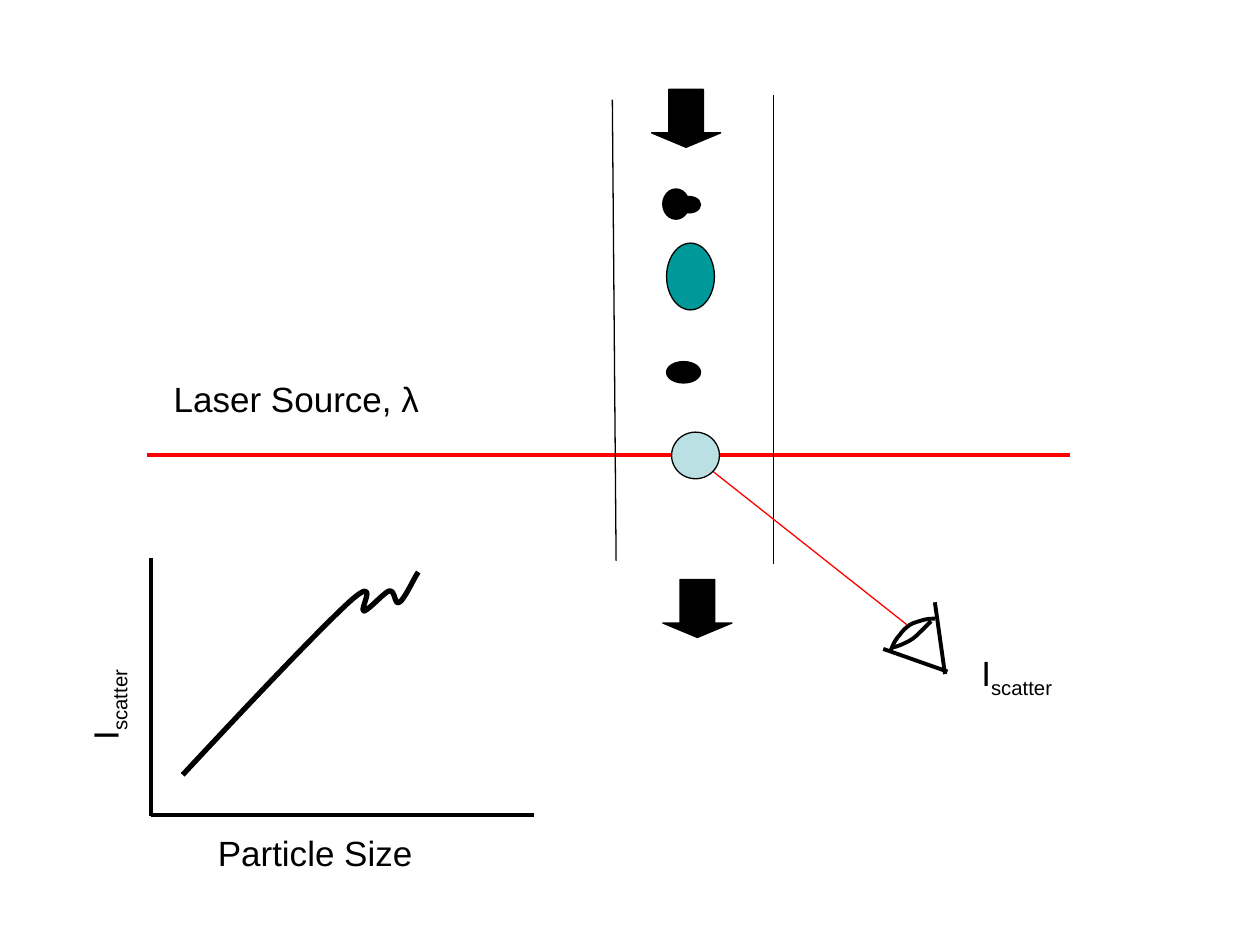
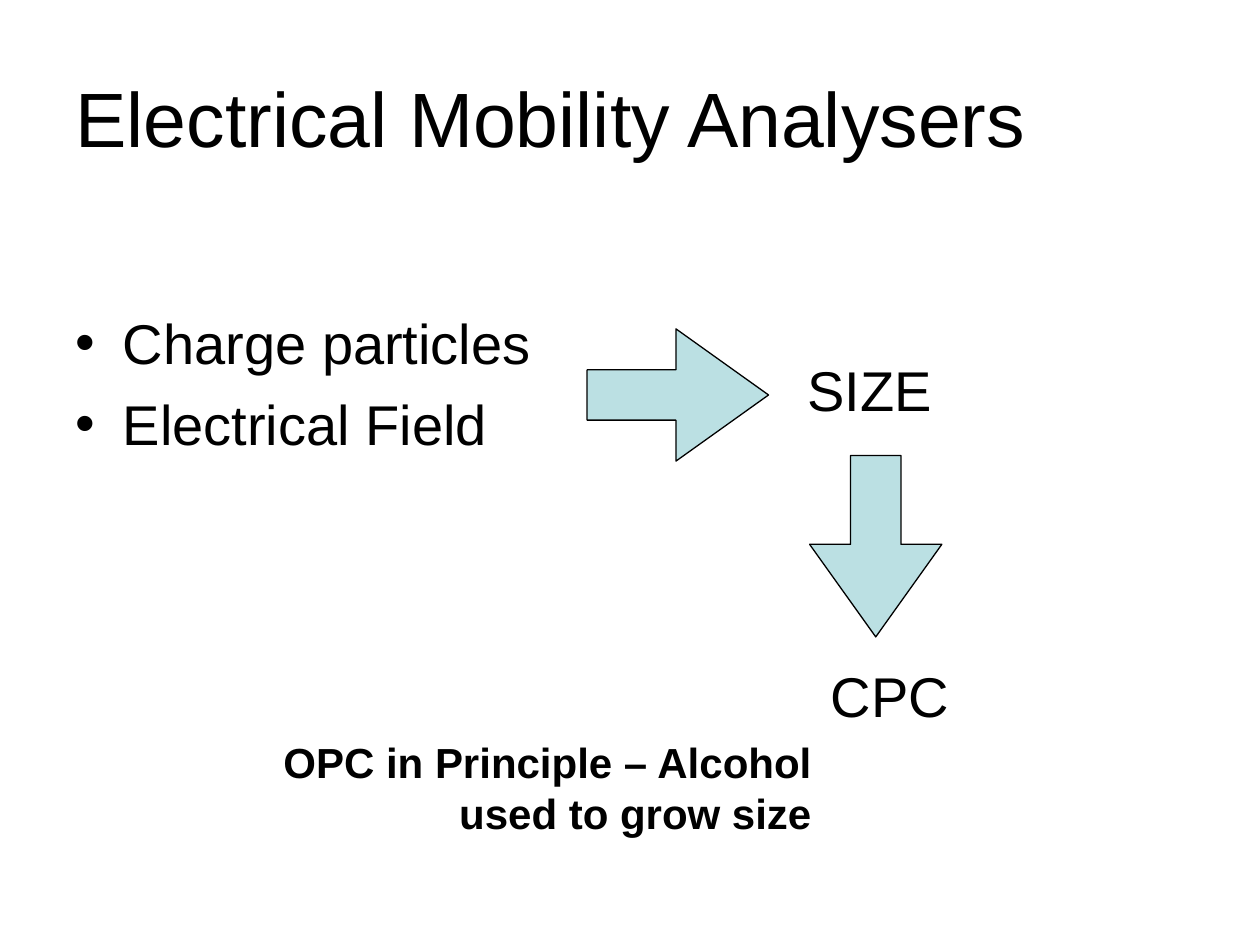
from pptx import Presentation
from pptx import util as u
from pptx.dml.color import RGBColor
from pptx.enum import shapes, text
from pptx.oxml import parse_xml
from pptx.oxml.ns import nsdecls, qn

BLACK = RGBColor(0x00, 0x00, 0x00)
RED = RGBColor(0xFF, 0x00, 0x00)
TEAL = RGBColor(0x00, 0x99, 0x99)
PALE = RGBColor(0xBB, 0xE0, 0xE3)
FONT = "Arial"
SLIDE_SIZE = (10, 7.5)
THIN, THICK, TREND = 0.75, 2.25, 3

LEFT, CENTER, RIGHT = text.PP_ALIGN.LEFT, text.PP_ALIGN.CENTER, text.PP_ALIGN.RIGHT
OVAL = shapes.MSO_SHAPE.OVAL
DOWN = shapes.MSO_SHAPE.DOWN_ARROW
ONWARD = shapes.MSO_SHAPE.RIGHT_ARROW
# Shaft width and head length of each arrow kind
PROPORTIONS = {DOWN: (0.5, 0.25), ONWARD: (0.38, 0.7)}

# Optical counter: lines are (from, to, colour, width)
BEAM_AND_CHANNEL = [
    ((1.17, 3.61), (8.49, 3.61), RED, THICK),
    ((4.86, 0.79), (4.89, 4.45), BLACK, THIN),
    ((6.14, 0.75), (6.14, 4.48), BLACK, THIN),
]
EYE_LINES = [
    ((7.42, 4.78), (7.5, 5.35), BLACK, THICK),
    ((7.01, 5.15), (7.52, 5.33), BLACK, THICK),
]
SCATTERED_RAY = ((5.53, 3.64), (7.2, 4.96), RED, THIN)
GRAPH_AXES = [
    ((1.2, 4.43), (1.2, 6.48), BLACK, THICK),
    ((1.2, 6.47), (4.24, 6.47), BLACK, THICK),
]

# Curves: a start point, then Bezier pieces of two handles and an end
EYELID = [(7.07, 5.16),
          (7.09, 5.11), (7.11, 5.07), (7.14, 5.04),
          (7.16, 5.01), (7.19, 4.98), (7.22, 4.96),
          (7.25, 4.94), (7.3, 4.93), (7.33, 4.92),
          (7.37, 4.91), (7.4, 4.91), (7.42, 4.91)]
LOWER_LID = [(7.08, 5.14),
             (7.13, 5.13), (7.17, 5.11), (7.21, 5.09),
             (7.25, 5.07), (7.28, 5.04), (7.31, 5.01),
             (7.34, 4.98), (7.37, 4.95), (7.39, 4.93)]
SCATTER_TREND = [(1.45, 6.15),
                 (1.99, 5.57), (2.54, 4.99), (2.78, 4.77),
                 (3.03, 4.55), (2.84, 4.86), (2.89, 4.85),
                 (2.94, 4.83), (3.05, 4.7), (3.09, 4.69),
                 (3.14, 4.68), (3.13, 4.81), (3.17, 4.78),
                 (3.21, 4.76), (3.29, 4.58), (3.32, 4.54)]

# Labels: text, subscript, box, format
SMALL = {"size": 20, "before": 12.5}
LARGE = {"size": 32, "before": 20}
COUNTER_LABELS = [
    ("Particle Size", "", (1.63, 6.55, 1.91, 0.44), SMALL),
    ("I", "scatter", (-0.1, 4.78, 1.91, 0.48), {**SMALL, "rotation": 270}),
    ("I", "scatter", (7.69, 5.12, 1.91, 0.48), SMALL),
    ("Laser Source, λ", "", (1.28, 2.95, 2.43, 0.44), SMALL),
]
# Shapes: kind, box, fill
PARTICLE_STREAM = [
    (OVAL, (5.33, 3.43, 0.38, 0.37), PALE),
    (OVAL, (5.26, 1.5, 0.21, 0.24), BLACK),
    (OVAL, (5.29, 1.93, 0.38, 0.53), TEAL),
    (OVAL, (5.29, 2.87, 0.27, 0.17), BLACK),
    (OVAL, (5.38, 1.56, 0.18, 0.13), BLACK),
    (DOWN, (5.17, 0.71, 0.55, 0.46), BLACK),
    (DOWN, (5.26, 4.6, 0.55, 0.46), BLACK),
]

# Mobility analysers
ANALYSER_TITLE = "Electrical Mobility Analysers"
ANALYSER_STEPS = ["Charge particles", "Electrical Field"]
TITLE_BOX = (0.5, 0.3, 9, 1.25)
STEPS_BOX = (0.5, 1.75, 9, 4.95)
STEPS_TOP_MARGIN = 0.7
STEP_ARROWS = [((4.66, 2.61, 1.44, 1.05), 0), ((6.23, 3.81, 1.44, 1.05), 90)]
ANALYSER_LABELS = [
    ("SIZE", "", (6.31, 2.77, 2.17, 0.64), LARGE),
    ("CPC", "", (5.98, 5.2, 2.17, 0.64), {**LARGE, "align": CENTER}),
    ("OPC in Principle – Alcohol used to grow size", "", (1.31, 5.8, 5.23, 0.9),
     {"size": 24, "before": 15, "align": RIGHT, "bold": True}),
]


def inches(values):
    return [u.Inches(value) for value in values]


def set_font(run, size, bold=False):
    font_format = {"name": FONT, "size": u.Pt(size), "bold": bold}
    for attribute, value in font_format.items():
        setattr(run.font, attribute, value)
    run.font.color.rgb = BLACK


def set_outline(line, color, width):
    line.color.rgb = color
    line.width = u.Pt(width)


def add_line(slide, start, end, color, width):
    line = slide.shapes.add_connector(
        shapes.MSO_CONNECTOR.STRAIGHT, *inches(start + end))
    set_outline(line.line, color, width)
    line._element.spPr.append(parse_xml(f"<a:effectLst {nsdecls('a')}/>"))


def add_curve(slide, nodes, width):
    """Draw the nodes as a polyline, then merge each three segments into a Bezier."""
    builder = slide.shapes.build_freeform(*inches(nodes[0]))
    builder.add_line_segments([inches(node) for node in nodes[1:]], close=False)
    curve = builder.convert_to_shape()
    segments = list(curve._element.iter(qn("a:lnTo")))
    for first in range(0, len(segments), 3):
        bezier = parse_xml(f"<a:cubicBezTo {nsdecls('a')}/>")
        segments[first].addprevious(bezier)
        for segment in segments[first:first + 3]:
            bezier.append(segment[0])
            segment.getparent().remove(segment)
    curve.shadow.inherit = False
    curve.fill.background()
    set_outline(curve.line, BLACK, width)


def add_filled(slide, kind, box, fill, rotation=0):
    shape = slide.shapes.add_shape(kind, *inches(box))
    shape.shadow.inherit = False
    shape.rotation = rotation
    shape.fill.solid()
    shape.fill.fore_color.rgb = fill
    set_outline(shape.line, BLACK, THIN)
    for index, share in enumerate(PROPORTIONS.get(kind, ())):
        shape.adjustments[index] = share


def add_label(slide, wording, subscript, box, style):
    label = slide.shapes.add_textbox(*inches(box))
    label.rotation = style.get("rotation", 0)
    label.text_frame.word_wrap = True
    paragraph = label.text_frame.paragraphs[0]
    paragraph.alignment = style.get("align", LEFT)
    paragraph.space_before = u.Pt(style["before"])
    for part in filter(None, (wording, subscript)):
        run = paragraph.add_run()
        run.text = part
        set_font(run, style["size"], style.get("bold", False))
    if subscript:
        run._r.get_or_add_rPr().set("baseline", "-25000")


def fill_placeholder(placeholder, lines, box, size, before):
    for side, length in zip(("left", "top", "width", "height"), inches(box)):
        setattr(placeholder, side, length)
    placeholder.text_frame.text = "\n".join(lines)
    for paragraph in placeholder.text_frame.paragraphs:
        paragraph.alignment = LEFT
        paragraph.space_before = u.Pt(before)
        set_font(paragraph.runs[0], size)


def build_optical_counter(deck):
    slide = deck.slides.add_slide(deck.slide_layouts[6])
    for line in BEAM_AND_CHANNEL + EYE_LINES:
        add_line(slide, *line)
    for lid in (EYELID, LOWER_LID):
        add_curve(slide, lid, THICK)
    for line in [SCATTERED_RAY] + GRAPH_AXES:
        add_line(slide, *line)
    for label in COUNTER_LABELS:
        add_label(slide, *label)
    for part in PARTICLE_STREAM:
        add_filled(slide, *part)
    add_curve(slide, SCATTER_TREND, TREND)


def build_mobility_analysers(deck):
    slide = deck.slides.add_slide(deck.slide_layouts[1])
    steps = slide.placeholders[1]
    fill_placeholder(slide.shapes.title, [ANALYSER_TITLE], TITLE_BOX, 44, 0)
    fill_placeholder(steps, ANALYSER_STEPS, STEPS_BOX, 32, 8)
    steps.text_frame.margin_top = u.Inches(STEPS_TOP_MARGIN)
    for box, rotation in STEP_ARROWS:
        add_filled(slide, ONWARD, box, PALE, rotation)
    for label in ANALYSER_LABELS:
        add_label(slide, *label)


def main():
    deck = Presentation()
    deck.slide_width, deck.slide_height = inches(SLIDE_SIZE)
    build_optical_counter(deck)
    build_mobility_analysers(deck)
    deck.save("out.pptx")


if __name__ == "__main__":
    main()
